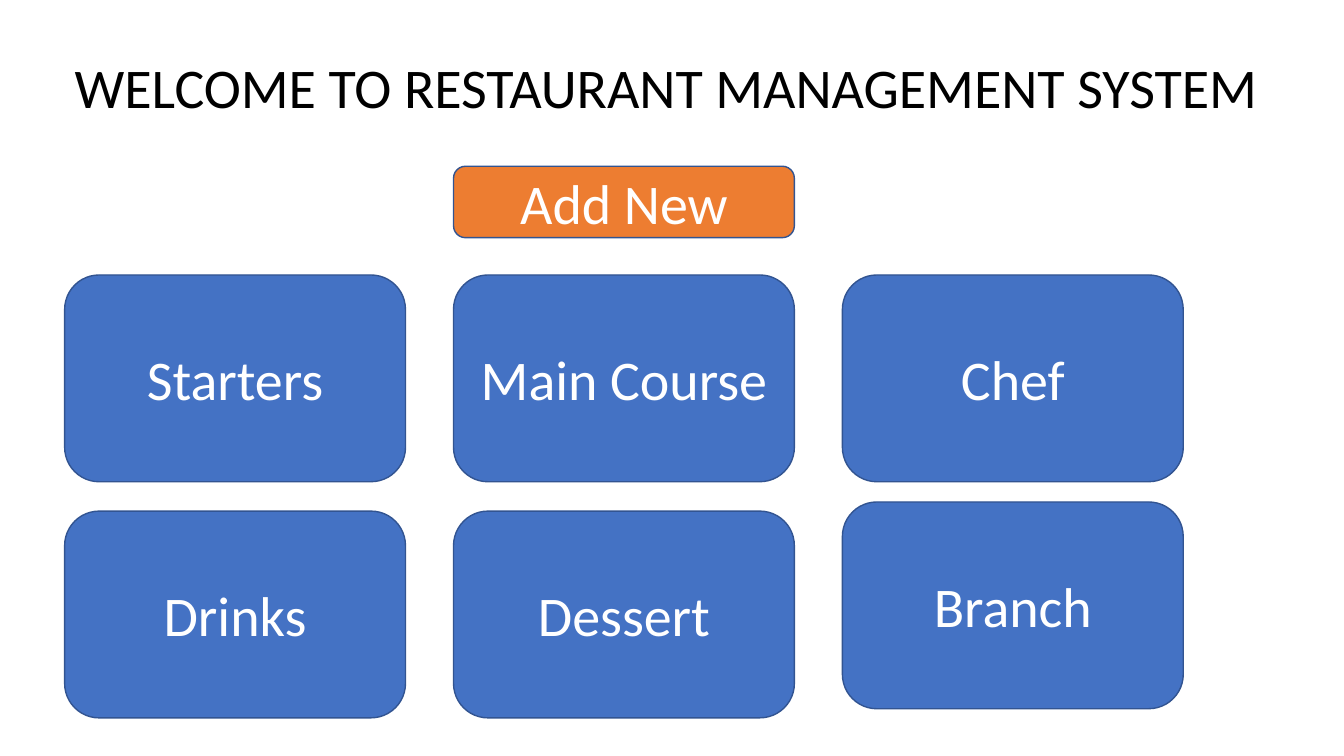
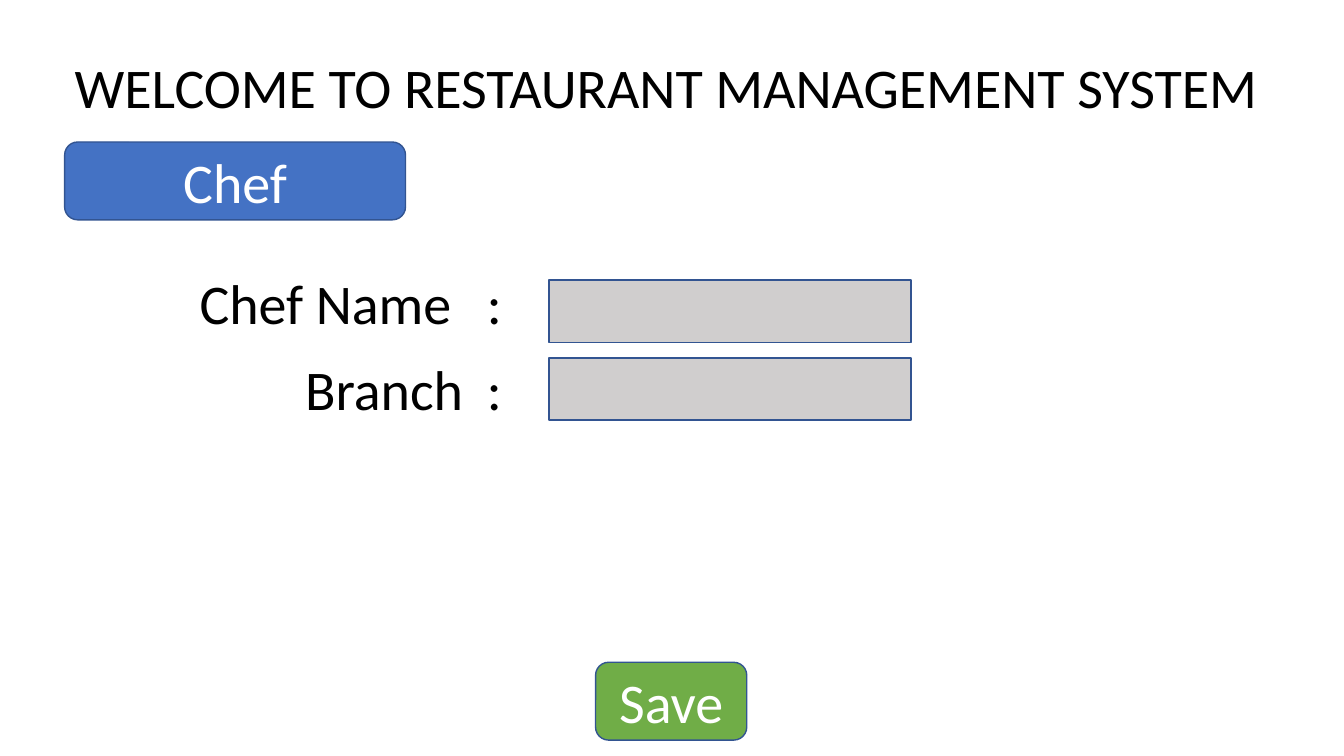
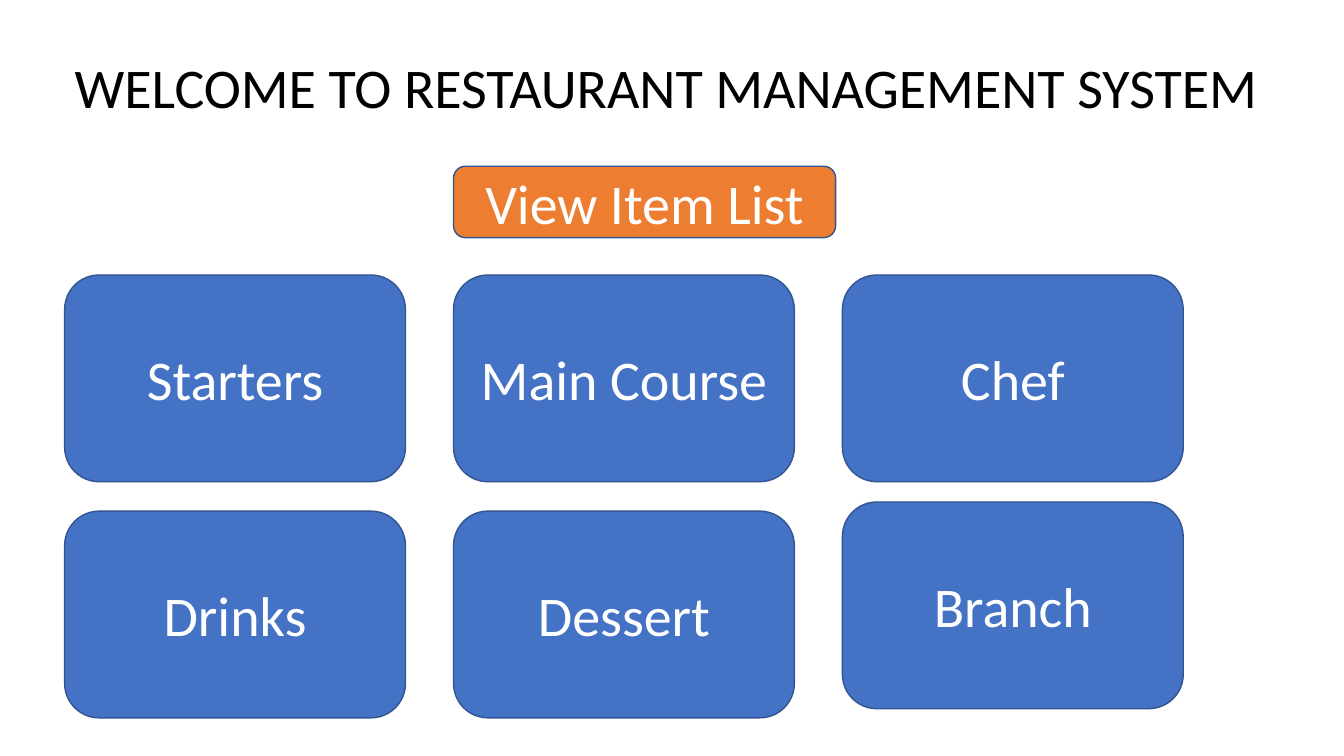
from pptx import Presentation
from pptx.dml.color import RGBColor
from pptx.enum.shapes import MSO_SHAPE as SHAPE
from pptx.enum.text import MSO_ANCHOR as ANCHOR, PP_ALIGN as ALIGN
from pptx.util import Cm, Pt
from lxml.etree import SubElement
from pptx.oxml.ns import qn

BLUE = RGBColor(0x44, 0x72, 0xC4)
NAVY = RGBColor(0x32, 0x54, 0x91)
ORANGE = RGBColor(0xED, 0x7D, 0x31)
GREEN = RGBColor(0x70, 0xAD, 0x47)
GREY = RGBColor(0xD0, 0xCE, 0xCE)
WHITE = RGBColor(0xFF, 0xFF, 0xFF)
BLACK = RGBColor(0, 0, 0)

LEFT = 1.63
TILE_W, TILE_H = 8.59, 5.21
PITCH = 9.8
COLON_X = 12.27
INSET = 0.25


def add_box(s, kind, x, y, w, h, fill, text=""):
    sp = s.shapes.add_shape(kind, Cm(x), Cm(y), Cm(w), Cm(h))
    sp.shadow.inherit = False
    sp.fill.solid()
    sp.fill.fore_color.rgb = fill
    sp.line.color.rgb = NAVY
    sp.line.width = Pt(1)
    if text:
        tf = sp.text_frame
        tf.vertical_anchor = ANCHOR.MIDDLE
        p = tf.paragraphs[0]
        p.text = text
        p.alignment = ALIGN.CENTER
        p.font.name, p.font.size, p.font.color.rgb = "Calibri", Pt(40), WHITE


def add_text(s, x, y, w, text):
    tf = s.shapes.add_textbox(Cm(x), Cm(y), Cm(w), Cm(1.96)).text_frame
    tf.word_wrap = True
    p = tf.paragraphs[0]
    p.text = text
    if "\t" in text:
        # Tab stop that lines up the colons of the form
        tabs = SubElement(p._p.get_or_add_pPr(), qn("a:tabLst"))
        SubElement(tabs, qn("a:tab"), pos=str(Cm(COLON_X - x - INSET)), algn="l")
    p.font.name, p.font.size, p.font.color.rgb = "Calibri", Pt(40), BLACK


prs = Presentation()
prs.slide_width, prs.slide_height = Cm(33.87), Cm(19.05)

# Shared title on every slide
slides = [prs.slides.add_slide(prs.slide_layouts[6]) for _ in range(3)]
for s in slides:
    add_text(s, LEFT, 1.19, 31.34, "WELCOME TO RESTAURANT MANAGEMENT SYSTEM")
add_menu, chef_form, view_menu = slides

# Menu slides: heading button and columns of two tiles
columns = [
    ("Starters", "Drinks", 12.88),
    ("Main Course", "Dessert", 12.88),
    ("Chef", "Branch", 12.65),
]
for s, heading, width in [(add_menu, "Add New", TILE_W),
                          (view_menu, "View Item List", 9.63)]:
    add_box(s, SHAPE.ROUNDED_RECTANGLE, LEFT + PITCH, 4.19, width, 1.8, ORANGE, heading)
    for i, (upper, lower, lower_y) in enumerate(columns):
        for text, y in [(upper, 6.93), (lower, lower_y)]:
            add_box(s, SHAPE.ROUNDED_RECTANGLE, LEFT + i * PITCH, y,
                    TILE_W, TILE_H, BLUE, text)

# Chef form: heading, labelled fields and save button
add_box(chef_form, SHAPE.ROUNDED_RECTANGLE, LEFT, 3.58, TILE_W, 1.96, BLUE, "Chef")
for label, x, y, w, field_y in [("Chef Name", 4.78, 6.65, 10.03, 7.06),
                                ("Branch", 7.44, 8.81, 6.05, 9.02)]:
    add_text(chef_form, x, y, w, label + "\t:")
    add_box(chef_form, SHAPE.RECTANGLE, 13.84, field_y, 9.12, 1.57, GREY)
add_box(chef_form, SHAPE.ROUNDED_RECTANGLE, 15.01, 16.69, 3.81, 1.96, GREEN, "Save")

prs.save("out.pptx")
